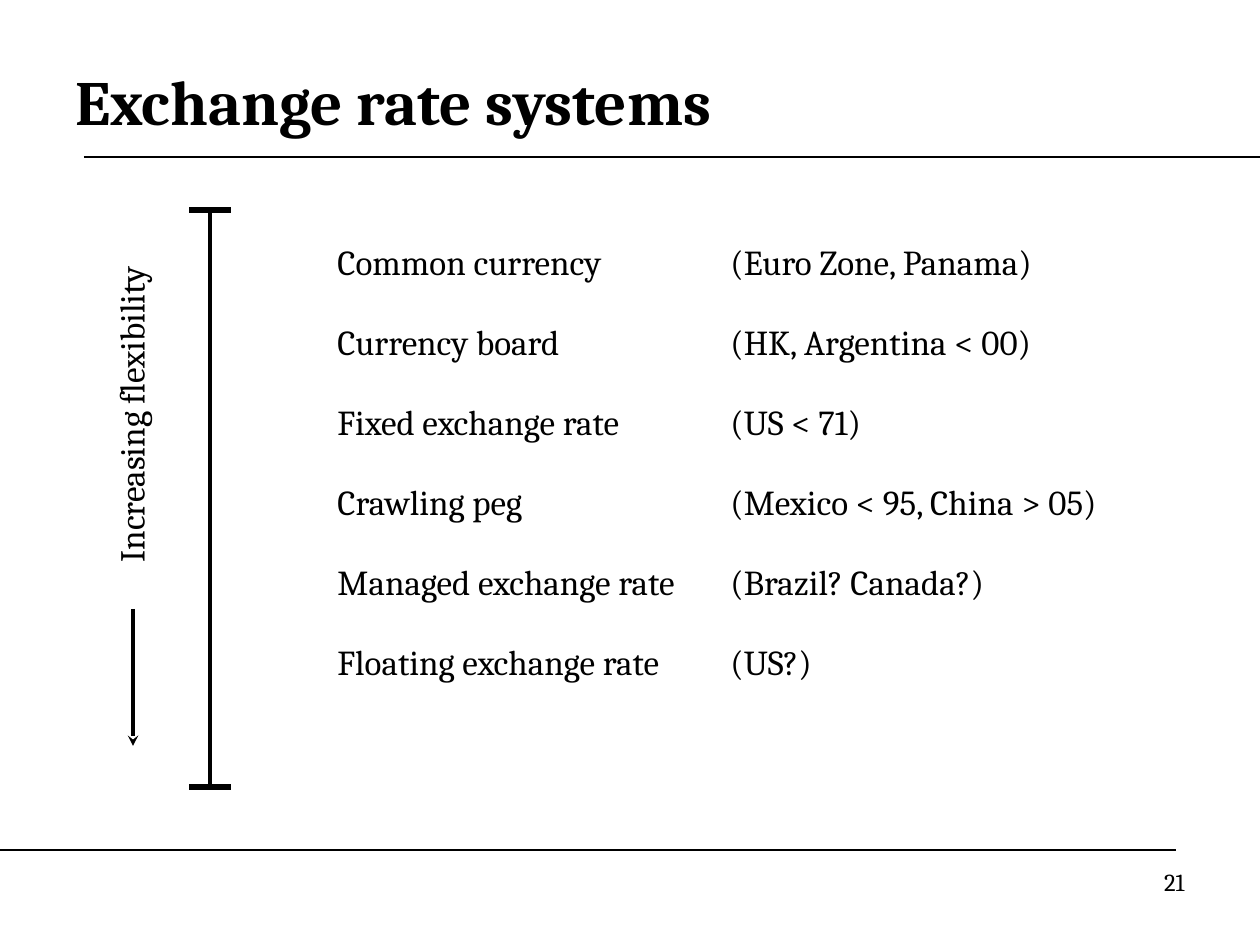
from lxml import etree
from pptx import Presentation
from pptx.dml.color import RGBColor as Rgb
from pptx.enum.shapes import MSO_CONNECTOR as Conn
from pptx.enum.text import MSO_ANCHOR as Anchor, MSO_AUTO_SIZE as Fit, PP_ALIGN as Align
from pptx.oxml.ns import qn
from pptx.util import Pt

WIDE, HIGH = 1260, 945
COLORS = {"ink": "000000", "paper": "FFFFFF"}
SYSTEMS = [
    ("Common currency", "(Euro Zone, Panama)"),
    ("Currency board", "(HK, Argentina < 00)"),
    ("Fixed exchange rate", "(US < 71)"),
    ("Crawling peg", "(Mexico < 95, China > 05)"),
    ("Managed exchange rate", "(Brazil? Canada?)"),
    ("Floating exchange rate", "(US?)"),
]


def emu(px):
    return round(px * 914400 / 126)


class Page:
    def __init__(self, slide, font="Cambria"):
        self.slide = slide
        self.font = font
        fill = slide.background.fill
        fill.solid()
        fill.fore_color.rgb = Rgb.from_string(COLORS["paper"])

    def text(self, box, rows, size, bold=False, align=Align.LEFT,
             anchor=Anchor.TOP, grow=False, gap=0, tab=None, turn=0):
        """Each row is a tuple of runs, parted by a tab."""
        shape = self.slide.shapes.add_textbox(*map(emu, box))
        shape.rotation = turn
        frame = shape.text_frame
        frame.word_wrap = True
        frame.vertical_anchor = anchor
        frame.auto_size = Fit.SHAPE_TO_FIT_TEXT if grow else Fit.NONE
        for i, row in enumerate(rows):
            para = frame.add_paragraph() if i else frame.paragraphs[0]
            para.alignment = align
            if i and gap:
                para.space_before = Pt(gap)
            if tab:
                stops = etree.SubElement(para._p.get_or_add_pPr(), qn("a:tabLst"))
                etree.SubElement(stops, qn("a:tab"), pos=str(emu(tab)), algn="l")
            for j, part in enumerate(row):
                run = para.add_run()
                run.text = "\t" + part if j else part
                run.font.name = self.font
                run.font.size = Pt(size)
                run.font.bold = bold
                run.font.color.rgb = Rgb.from_string(COLORS["ink"])

    def line(self, start, end, width, head=None):
        link = self.slide.shapes.add_connector(
            Conn.STRAIGHT, *map(emu, (*start, *end)))
        link.line.width = Pt(width)
        link.line.color.rgb = Rgb.from_string(COLORS["ink"])
        if head:
            etree.SubElement(link.line._get_or_add_ln(), qn("a:tailEnd"), type=head)
        etree.SubElement(link._element.spPr, qn("a:effectLst"))


def main():
    deck = Presentation()
    deck.slide_width, deck.slide_height = emu(WIDE), emu(HIGH)
    page = Page(deck.slides.add_slide(deck.slide_layouts[6]))

    page.line((84, 157), (WIDE, 157), 0.75)
    page.line((0, 850), (WIDE - 84, 850), 0.75)
    page.text((63, 42, 1134, 116), [("Exchange rate systems",)], 36,
              bold=True, anchor=Anchor.MIDDLE)
    page.text((903, 861, 294, 66), [("21",)], 14, align=Align.RIGHT)
    page.text((325, 234, 861, 532), SYSTEMS, 20, grow=True, gap=21.8, tab=393)

    axis, top, base = 210, 210, 787
    page.line((axis, top), (axis, base), 2)
    for y in (top, base):
        page.line((axis - 21, y), (axis + 21, y), 3)

    page.text((-74, 387, 410, 55), [("Increasing flexibility",)], 20,
              align=Align.CENTER, grow=True, turn=270)
    page.line((133, 609), (133, 746), 2, head="stealth")
    deck.save("out.pptx")


if __name__ == "__main__":
    main()
